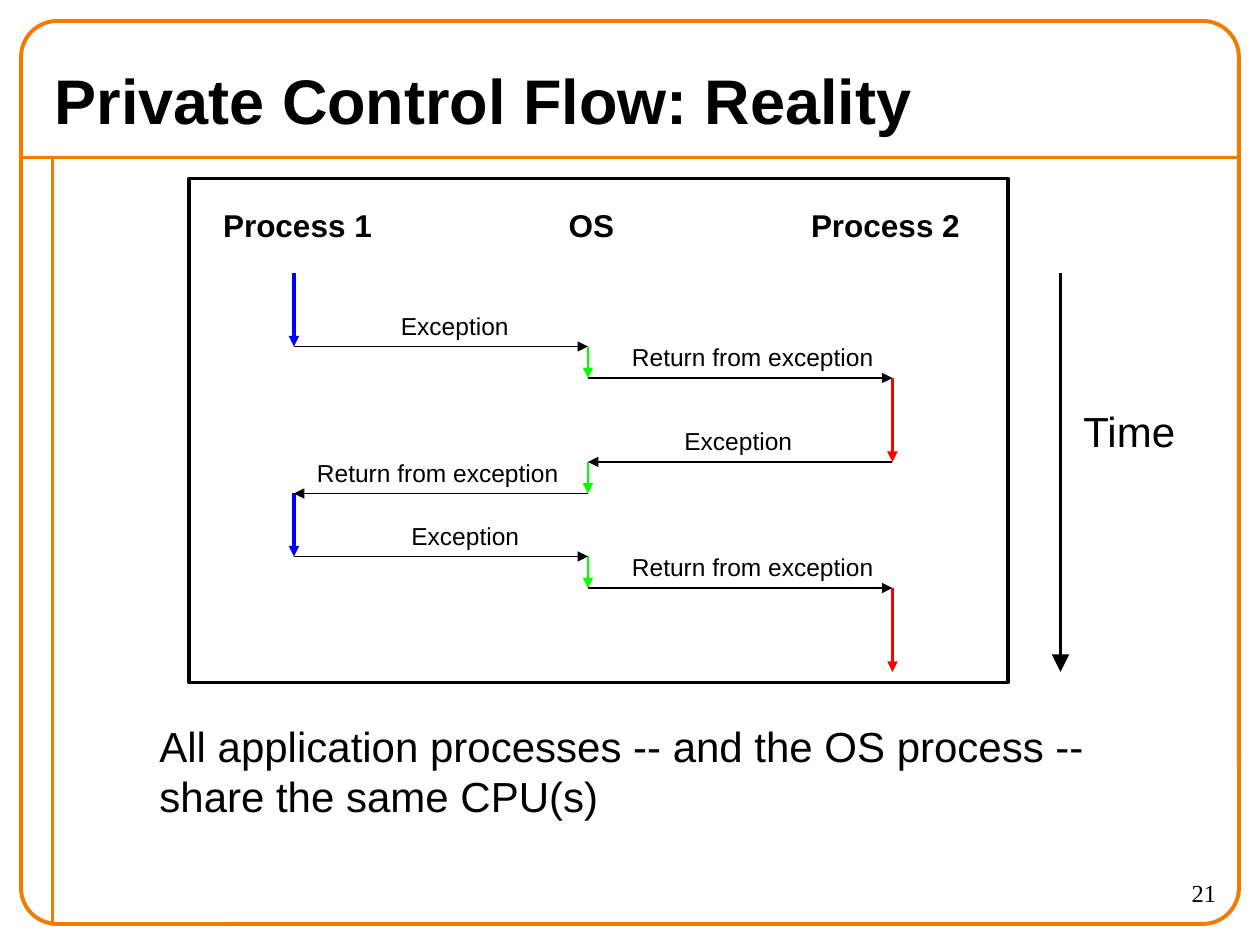
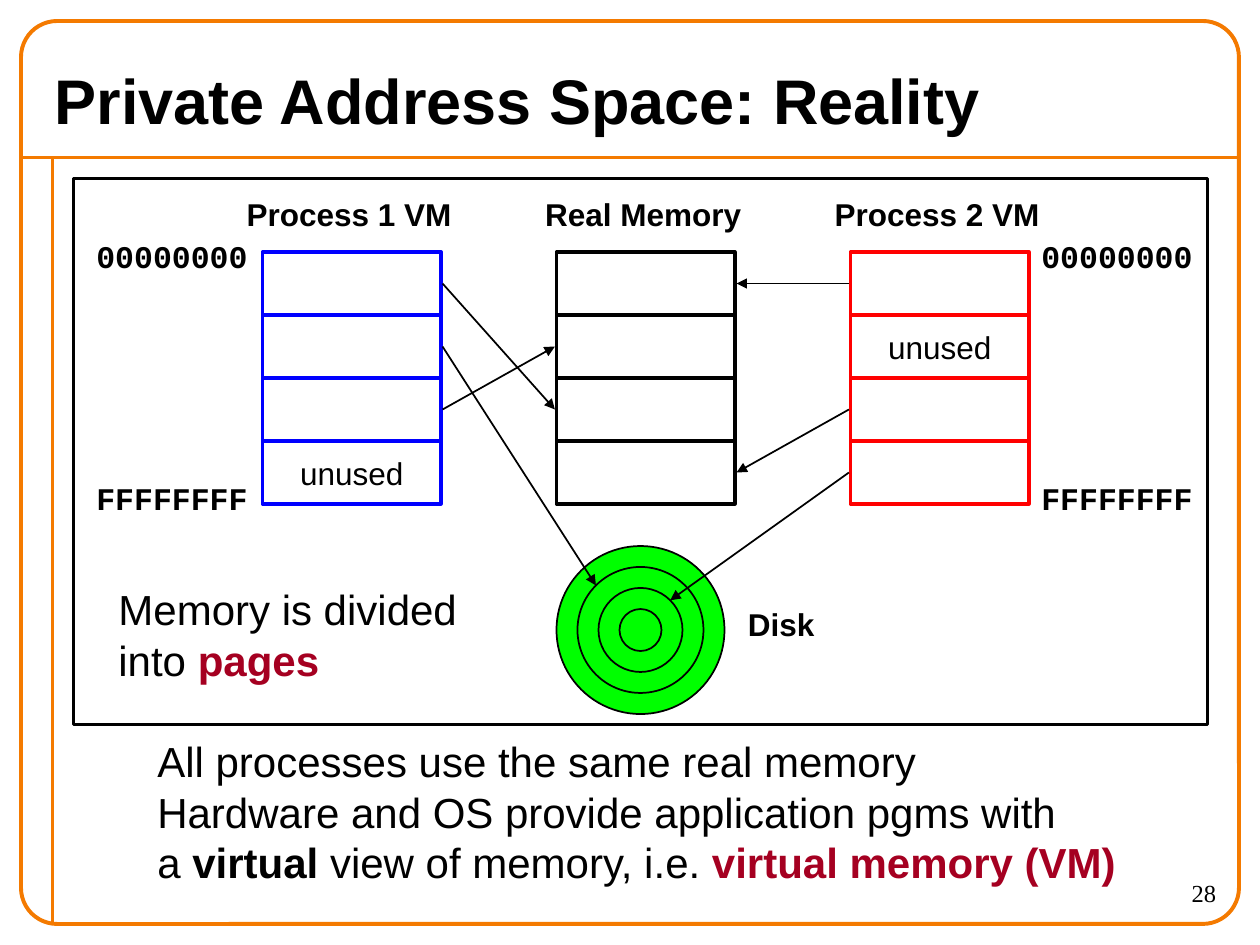
import dataclasses
import math

import pptx
import pptx.dml.color
import pptx.enum.shapes
import pptx.enum.text
import pptx.oxml
import pptx.oxml.ns
import pptx.util

SHAPE = pptx.enum.shapes.MSO_SHAPE
ALIGN = pptx.enum.text.PP_ALIGN
FIT = pptx.enum.text.MSO_AUTO_SIZE
COLUMNS, ROWS = 120, 90
CELL = pptx.util.Inches(10) / COLUMNS


@dataclasses.dataclass(frozen=True)
class Theme:
    ink: str = "000000"
    border: str = "F47A00"
    process1: str = "0000FF"
    process2: str = "FF0000"
    system: str = "00FF00"
    keyword: str = "A50021"
    sans: str = "Arial"
    mono: str = "Courier New"
    serif: str = "Times New Roman"
    title: int = 36
    body: int = 24
    heading: int = 18
    label: int = 14
    border_width: float = 2.25
    thick: float = 2
    thin: float = 1


THEME = Theme()


def cells(*counts):
    return [round(count * CELL) for count in counts]


def rgb(color):
    return pptx.dml.color.RGBColor.from_string(color)


def style(font, size, bold=False, color=THEME.ink, face=THEME.sans):
    font.size = pptx.util.Pt(size)
    font.bold = bold
    font.color.rgb = rgb(color)
    font.name = face


def stroke(line, color, width):
    line.color.rgb = rgb(color)
    line.width = pptx.util.Pt(width)


def outline(slide, kind, col, row, width, height, color=THEME.ink,
            weight=THEME.thick, fill=None):
    area = slide.shapes.add_shape(kind, *cells(col, row, width, height))
    area.shadow.inherit = False
    if fill:
        area.fill.solid()
        area.fill.fore_color.rgb = rgb(fill)
    else:
        area.fill.background()
    stroke(area.line, color, weight)
    return area


def rule(slide, start, end, color=THEME.ink, weight=THEME.thin):
    connector = slide.shapes.add_connector(
        pptx.enum.shapes.MSO_CONNECTOR.STRAIGHT, *cells(*start, *end))
    stroke(connector.line, color, weight)
    properties = connector.element.find(pptx.oxml.ns.qn("p:spPr"))
    properties.append(pptx.oxml.parse_xml(
        f'<a:effectLst {pptx.oxml.ns.nsdecls("a")}/>'))
    return connector


def arrow(slide, start, end, color=THEME.ink, weight=THEME.thin, head="med"):
    connector = rule(slide, start, end, color, weight)
    connector.element.find(".//" + pptx.oxml.ns.qn("a:ln")).append(
        pptx.oxml.parse_xml(
            f'<a:tailEnd {pptx.oxml.ns.nsdecls("a")} type="triangle" '
            f'w="{head}" len="{head}"/>'))


def write(slide, col, row, width, lines, size, bold=False, face=THEME.sans,
          align=ALIGN.LEFT, wrap=False):
    height = (len(lines) * size / 60 + 0.1) * 12
    frame = slide.shapes.add_textbox(*cells(col, row, width, height)).text_frame
    frame.word_wrap = wrap
    frame.auto_size = FIT.SHAPE_TO_FIT_TEXT
    frame.text = "\n".join("".join(text for text, _ in line) for line in lines)
    for paragraph, line in zip(frame.paragraphs, lines):
        paragraph.alignment = align
        paragraph.runs[0].text = line[0][0]
        for text, _ in line[1:]:
            paragraph.add_run().text = text
        for run, (_, emphasis) in zip(paragraph.runs, line):
            style(run.font, size, **{"bold": bold, "face": face, **emphasis})


def plain(text):
    return text, {}


def strong(text, color=THEME.ink):
    return text, {"bold": True, "color": color}


def heading(slide, center, row, width, text):
    write(slide, center - width / 2, row, width, [[plain(text)]],
          THEME.heading, bold=True, align=ALIGN.CENTER)


def note(slide, col, row, width, *lines):
    write(slide, col, row, width, lines, THEME.body)


def label(slide, col, row, width, text):
    write(slide, col, row, width, [[plain(text)]], THEME.label, wrap=True)


def prepare_layout(deck):
    layout = deck.slide_layouts[5]
    title, *unused = layout.placeholders
    for footer in unused:
        footer.element.getparent().remove(footer.element)
    title.left, title.top, title.width, title.height = cells(4, 5, 112, 9)
    return layout


def add_border(slide):
    color, weight = THEME.border, THEME.border_width
    border = outline(slide, SHAPE.ROUNDED_RECTANGLE, 2, 2, COLUMNS - 4,
                     ROWS - 4, color, weight)
    border.adjustments[0] = 0.04
    title_rule = rule(slide, (2, 15), (COLUMNS - 2, 15), color, weight)
    margin_rule = rule(slide, (5, 15), (5, ROWS - 2), color, weight)
    for part in (title_rule, margin_rule, border):
        slide.slide_layout.shapes.element.append(part.element)


def add_slide(deck, layout, title, number):
    slide = deck.slides.add_slide(layout)
    frame = slide.shapes.title.text_frame
    frame.text = title
    frame.auto_size = FIT.NONE
    frame.vertical_anchor = pptx.enum.text.MSO_ANCHOR.MIDDLE
    frame.paragraphs[0].alignment = ALIGN.LEFT
    style(frame.paragraphs[0].runs[0].font, THEME.title, bold=True)
    if len(deck.slides) == 1:
        add_border(slide)
    write(slide, 105, 83, 12, [[plain(number)]], THEME.label,
          face=THEME.serif, align=ALIGN.RIGHT, wrap=True)
    return slide


def draw_control_flow(slide):
    outline(slide, SHAPE.RECTANGLE, 18, 17, 78, 48)
    for index, (name, width) in enumerate(
            [("Process 1", 16.6), ("OS", 6.75), ("Process 2", 16.6)]):
        heading(slide, 28.33 + 28 * index, 19, width, name)

    process1, system, process2 = 28, 56, 85
    runs = [
        (process1, 26, 33, THEME.process1, THEME.thick),
        (system, 33, 36, THEME.system, THEME.thin),
        (process2, 36, 44, THEME.process2, THEME.thick),
        (system, 44, 47, THEME.system, THEME.thin),
        (process1, 47, 53, THEME.process1, THEME.thick),
        (system, 53, 56, THEME.system, THEME.thin),
        (process2, 56, 64, THEME.process2, THEME.thick),
    ]
    for lane, start, end, color, weight in runs:
        arrow(slide, (lane, start), (lane, end), color, weight)
    for (lane, _, switch, *_), (next_lane, *_) in zip(runs, runs[1:]):
        arrow(slide, (lane, switch), (next_lane, switch))

    for col, row in [(37, 29), (64, 40), (38, 49)]:
        label(slide, col, row, 13, "Exception")
    for col, row in [(59, 32), (29, 43), (59, 52)]:
        label(slide, col, row, 26, "Return from exception")

    arrow(slide, (101, 26), (101, 64), weight=THEME.thick, head="lg")
    note(slide, 102, 38, 11.25, [plain("Time")])
    note(slide, 14, 68, 90.4,
         [plain("All application processes -- and the OS process --")],
         [plain("share the same CPU(s)")])


PAGES, PAGE_TOP, PAGE_WIDTH, PAGE_HEIGHT = 4, 24, 17, 6


def page_center(page):
    return PAGE_TOP + (page + 0.5) * PAGE_HEIGHT


def draw_memory(slide, col, color, unused=None):
    for page in range(PAGES):
        block = outline(slide, SHAPE.RECTANGLE, col,
                        PAGE_TOP + page * PAGE_HEIGHT, PAGE_WIDTH,
                        PAGE_HEIGHT, color)
        if page == unused:
            frame = block.text_frame
            frame.text = "unused"
            frame.word_wrap = False
            frame.vertical_anchor = pptx.enum.text.MSO_ANCHOR.MIDDLE
            frame.paragraphs[0].alignment = ALIGN.CENTER
            style(frame.paragraphs[0].runs[0].font, THEME.heading)


def draw_address_space(slide):
    outline(slide, SHAPE.RECTANGLE, 7, 17, 108, 52)
    memories = [
        ("Process 1 VM", 21.9, THEME.process1, 3),
        ("Real Memory", 21.1, THEME.ink, None),
        ("Process 2 VM", 21.9, THEME.process2, 1),
    ]
    vm1, real, vm2 = lefts = [25 + 28 * index for index in range(3)]
    for col, (name, width, color, unused) in zip(lefts, memories):
        heading(slide, col + 8.25, 18, width, name)
        draw_memory(slide, col, color, unused)
    for col in (8, 98):
        for row, address in [(22, "00000000"), (45, "FFFFFFFF")]:
            write(slide, col, row, 16.8, [[plain(address)]], THEME.heading,
                  bold=True, face=THEME.mono)

    disk_col, disk_row = 61, 60
    for radius in (8, 6, 4, 2):
        outline(slide, SHAPE.OVAL, disk_col - radius, disk_row - radius,
                2 * radius, 2 * radius, weight=THEME.thin, fill=THEME.system)
    heading(slide, 74.4, 57, 8.8, "Disk")

    def on_track(radius, degrees):
        angle = math.radians(degrees)
        return (disk_col + radius * math.cos(angle),
                disk_row - radius * math.sin(angle))

    gap = 0.15
    vm1_edge, vm2_edge = vm1 + PAGE_WIDTH + gap, vm2 - gap
    real_left, real_right = real - gap, real + PAGE_WIDTH + gap
    for edge, page, target in [
            (vm1_edge, 0, (real_left, page_center(2))),
            (vm1_edge, 1, on_track(6, 135)),
            (vm1_edge, 2, (real_left, page_center(1))),
            (vm2_edge, 0, (real_right, page_center(0))),
            (vm2_edge, 2, (real_right, page_center(3))),
            (vm2_edge, 3, on_track(4, 45))]:
        arrow(slide, (edge, page_center(page)), target)

    note(slide, 10.1, 55, 34.6, [plain("Memory is divided")],
         [plain("into "), strong("pages", THEME.keyword)])
    note(slide, 13.8, 69.5, 94,
         [plain("All processes use the same real memory")],
         [plain("Hardware and OS provide application pgms with")],
         [plain("a "), strong("virtual"), plain(" view of memory, i.e. "),
          strong("virtual memory (VM)", THEME.keyword)])


def main():
    deck = pptx.Presentation()
    deck.slide_width, deck.slide_height = cells(COLUMNS, ROWS)
    layout = prepare_layout(deck)
    draw_control_flow(
        add_slide(deck, layout, "Private Control Flow: Reality", "21"))
    draw_address_space(
        add_slide(deck, layout, "Private Address Space: Reality", "28"))
    deck.save("out.pptx")


if __name__ == "__main__":
    main()
